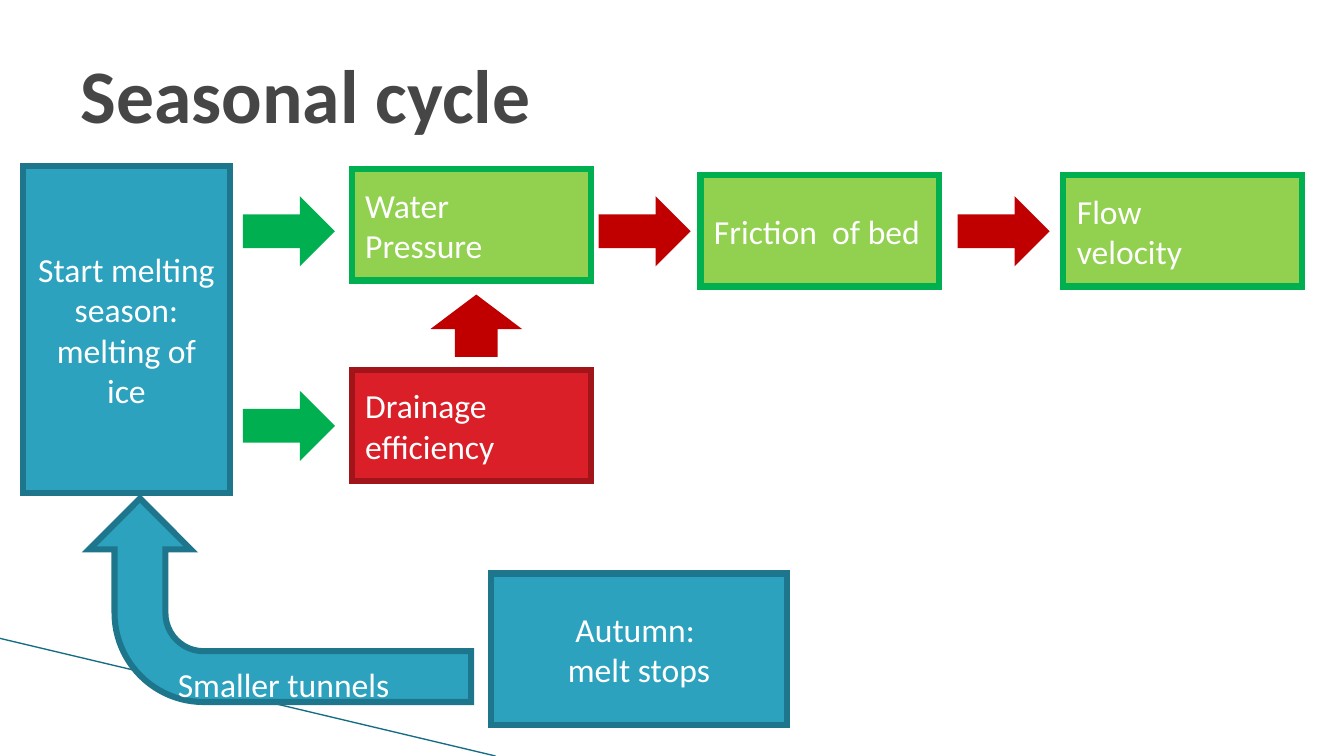
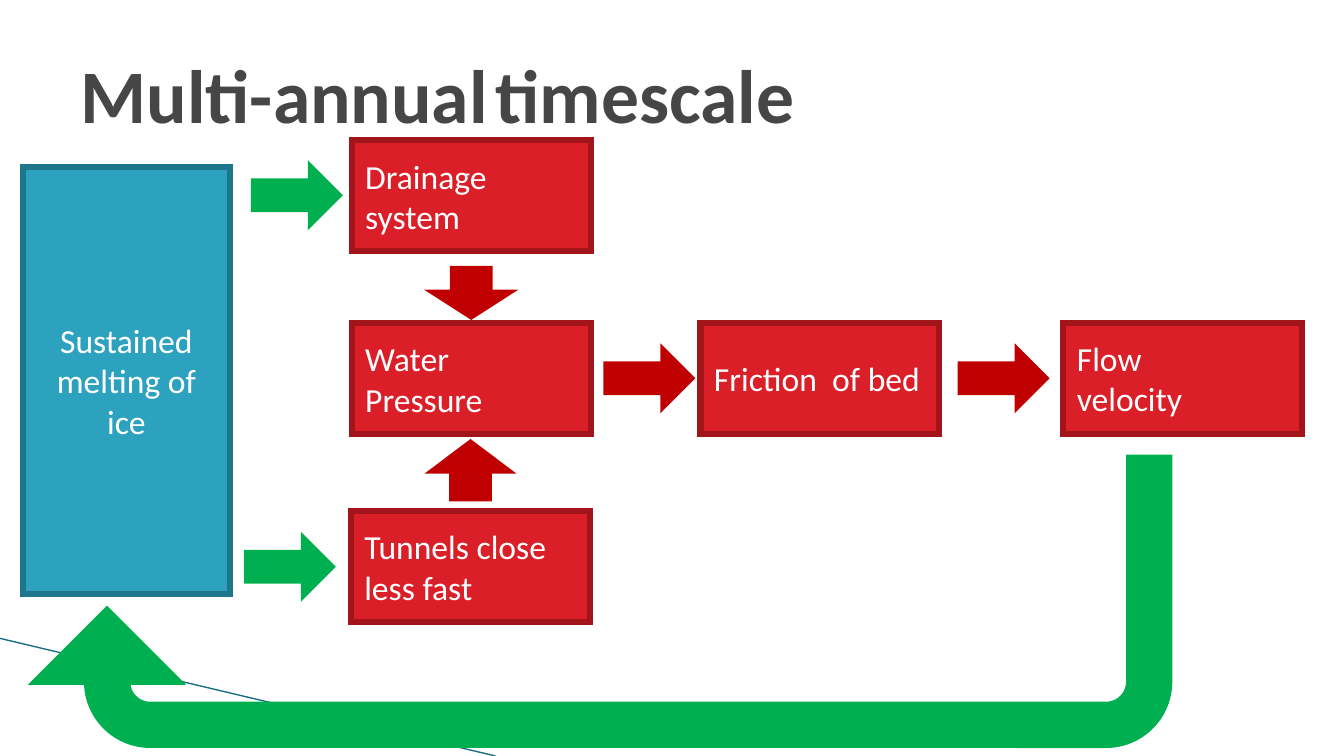
"""Builds two flow diagrams about melting ice, water pressure and flow velocity."""
from lxml import etree
from pptx import Presentation
from pptx.dml.color import RGBColor
from pptx.enum.shapes import MSO_CONNECTOR, MSO_SHAPE
from pptx.enum.text import MSO_ANCHOR, PP_ALIGN
from pptx.oxml.ns import qn
from pptx.util import Pt

RECT, RIGHT, UP, DOWN = (MSO_SHAPE.RECTANGLE, MSO_SHAPE.RIGHT_ARROW,
                         MSO_SHAPE.UP_ARROW, MSO_SHAPE.DOWN_ARROW)
BENT, U_TURN = MSO_SHAPE.BENT_ARROW, MSO_SHAPE.U_TURN_ARROW
STRAIGHT = MSO_CONNECTOR.STRAIGHT
TOP, MIDDLE = MSO_ANCHOR.TOP, MSO_ANCHOR.MIDDLE
LEFT, CENTER = PP_ALIGN.LEFT, PP_ALIGN.CENTER

WHITE, TITLE_GREY, SWOOSH = "FFFFFF", "464646", "156D83"
BLUE, LIME, RED = ("2DA2BF", "1E768C"), ("92D050", "00B050"), ("DA1F28", "A0141A")
GREEN, CRIMSON = ("00B050", "00B050"), ("C00000", "C00000")
INSETS = {"margin_left": Pt(9.6), "margin_right": Pt(9.6),
          "margin_top": Pt(4.8), "margin_bottom": Pt(4.8), "word_wrap": True}
BODY = {"name": "Calibri", "size": Pt(24)}
TITLE = {"name": "Calibri", "size": Pt(54), "bold": True}
LINE_WIDTH = 4.33

COL_ICE, COL_WATER, COL_BED, COL_FLOW = 16.5, 251.3, 500.4, 759.6
ARROW_BED = 686.2
BOX_SIZE, ARROW_SIZE, UP_SIZE = (170.6, 79.4), (60.5, 39.6), (52.6, 39.6)
FLOW_TEXT, BED_TEXT = ["Flow", "velocity"], ["Friction  of bed"]
WATER_TEXT = ["Water", "Pressure"]

SLIDES = [
    {
        "title": [("Seasonal cycle", {})],
        "stages": [
            (COL_ICE, 118.8, 147.6, 233.3, ["Start melting season: melting of ice"]),
            (350.6, 409.7, 211.7, 108, ["Autumn: ", "melt stops"]),
        ],
        "boxes": [
            (COL_FLOW, 125.3, LIME, FLOW_TEXT),
            (COL_BED, 125.3, LIME, BED_TEXT),
            (COL_WATER, 121, LIME, WATER_TEXT),
            (COL_WATER, 264.2, RED, ["Drainage", "efficiency"]),
        ],
        "arrows": [
            (RIGHT, 175.7, 145.4, ARROW_SIZE, GREEN),
            (RIGHT, 429.8, 145.4, ARROW_SIZE, CRIMSON),
            (RIGHT, ARROW_BED, 145.4, ARROW_SIZE, CRIMSON),
            (RIGHT, 175.7, 284.4, ARROW_SIZE, GREEN),
            (UP, 313.9, 213.1, UP_SIZE, CRIMSON),
        ],
        "loop": (BENT, 127.4, 292.3, (145.4, 272.9), BLUE, 270, []),
        "label": (117.4, 469.4, 218.9, 38.9, ["Smaller tunnels"]),
    },
    {
        "title": [("Multi-annual", {}), (" ", {"size": Pt(24)}), ("timescale", {})],
        "stages": [(COL_ICE, 119.5, 147.6, 304.6, ["Sustained melting of ice"])],
        "boxes": [
            (COL_FLOW, 230.4, RED, FLOW_TEXT),
            (COL_BED, 230.4, RED, BED_TEXT),
            (COL_WATER, 230.6, RED, WATER_TEXT),
            (COL_WATER, 100.1, RED, ["Drainage", "system"]),
            (250.6, 365, RED, ["Tunnels close less fast"]),
        ],
        "arrows": [
            (RIGHT, 433.2, 250.4, ARROW_SIZE, CRIMSON),
            (RIGHT, ARROW_BED, 250.4, ARROW_SIZE, CRIMSON),
            (RIGHT, 181.4, 119.7, ARROW_SIZE, GREEN),
            (UP, 309.8, 316.3, UP_SIZE, CRIMSON),
            (DOWN, 310.3, 192.2, (52.6, 33.8), CRIMSON),
            (RIGHT, 176.4, 385, ARROW_SIZE, GREEN),
        ],
        "loop": (U_TURN, 25.2, 326.9, (810, 205.2), GREEN, 180,
                 [0.14, 0.25, 0.25, 0.44, 0.47]),
    },
]


def rgb(value):
    """Turns a hex string into a colour."""
    return RGBColor.from_string(value)


def apply(target, values):
    """Sets each attribute named in a dict."""
    for name, value in values.items():
        setattr(target, name, value)


def write(sp, paragraphs, style, color=WHITE, anchor=MIDDLE, align=LEFT):
    """Fills a shape with paragraphs, each a list of (text, changes) runs."""
    tf = sp.text_frame
    apply(tf, {**INSETS, "vertical_anchor": anchor})
    for i, runs in enumerate(paragraphs):
        p = tf.add_paragraph() if i else tf.paragraphs[0]
        p.alignment = align
        for text, changes in runs:
            r = p.add_run()
            r.text = text
            apply(r.font, {**style, **changes})
            r.font.color.rgb = rgb(color)


def plain(lines):
    """Makes one unformatted run of each line."""
    return [[(line, {})] for line in lines]


def add_shape(s, kind, x, y, size, colors, rotation=0, adjustments=()):
    """Adds a filled preset shape with a mitred outline."""
    sp = s.shapes.add_shape(kind, *map(Pt, (x, y, *size)))
    sp.shadow.inherit = False
    sp.rotation = rotation
    for i, value in enumerate(adjustments):
        sp.adjustments[i] = value
    fill, line = colors
    sp.fill.solid()
    sp.fill.fore_color.rgb = rgb(fill)
    sp.line.color.rgb = rgb(line)
    sp.line.width = Pt(LINE_WIDTH)
    etree.SubElement(sp.line._get_or_add_ln(), qn("a:miter"), lim="800000")
    return sp


def add_text(s, x, y, w, h, paragraphs, style, **options):
    """Adds a text box."""
    write(s.shapes.add_textbox(*map(Pt, (x, y, w, h))), paragraphs, style, **options)


def add_base(s, title):
    """Draws the slanted line and the title that both slides share."""
    line = s.shapes.add_connector(STRAIGHT, *map(Pt, (0, 456, 354, 540)))
    line.line.color.rgb = rgb(SWOOSH)
    line.line.width = Pt(0.95)
    etree.SubElement(line._element.spPr, qn("a:effectLst"))
    add_text(s, 48, 21.6, 864, 90, [title], TITLE, color=TITLE_GREY)


def build_slide(prs, data):
    """Draws one flow diagram."""
    s = prs.slides.add_slide(prs.slide_layouts[6])
    add_base(s, data["title"])
    for x, y, w, h, lines in data["stages"]:
        write(add_shape(s, RECT, x, y, (w, h), BLUE), plain(lines), BODY, align=CENTER)
    for x, y, colors, lines in data["boxes"]:
        write(add_shape(s, RECT, x, y, BOX_SIZE, colors), plain(lines), BODY)
    for arrow in [*data["arrows"], data["loop"]]:
        add_shape(s, *arrow)
    if "label" in data:
        *place, lines = data["label"]
        add_text(s, *place, plain(lines), BODY, anchor=TOP)


def main():
    """Builds and saves the presentation."""
    prs = Presentation()
    prs.slide_width, prs.slide_height = Pt(960), Pt(540)
    for data in SLIDES:
        build_slide(prs, data)
    prs.save("out.pptx")


if __name__ == "__main__":
    main()
